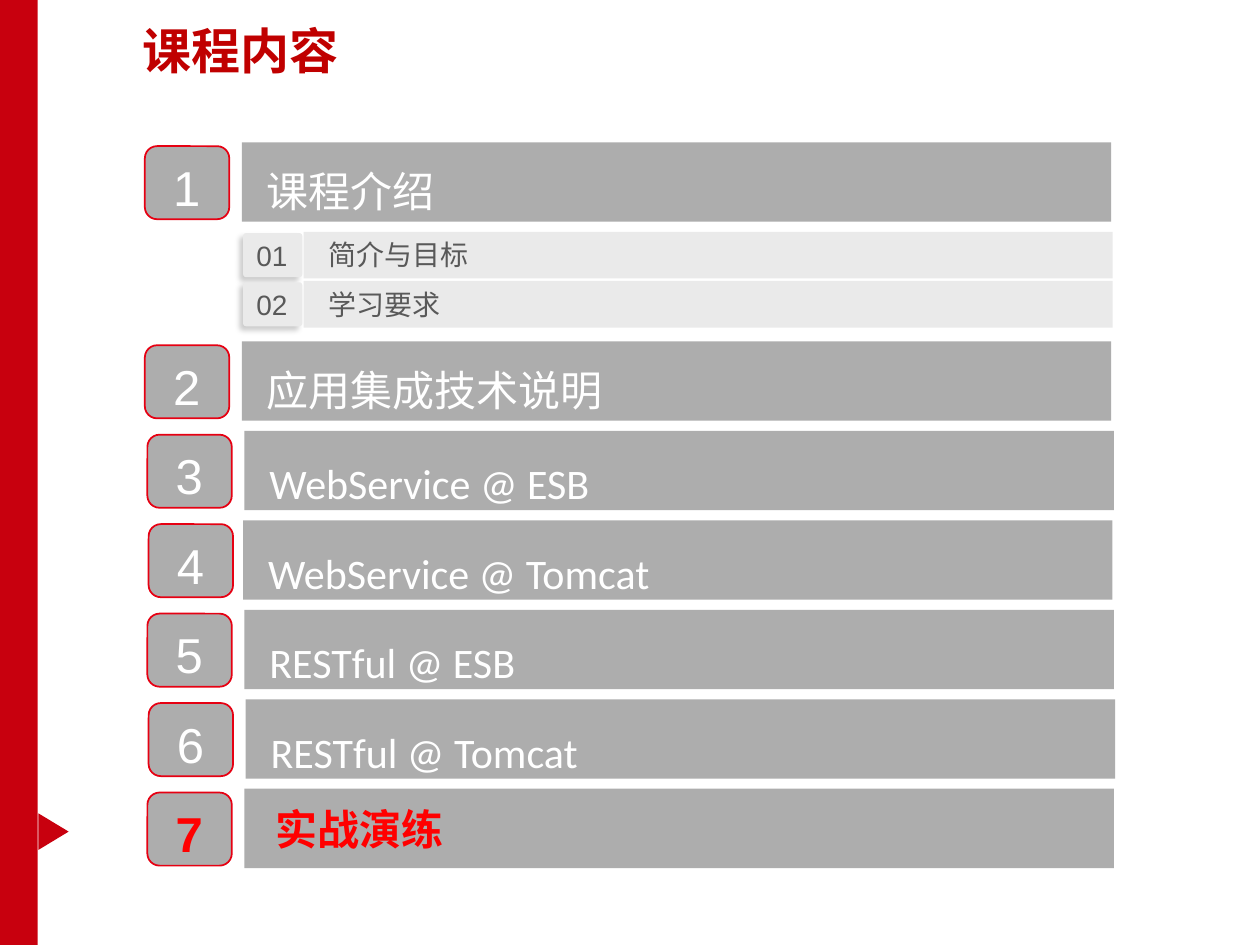
from dataclasses import dataclass

from lxml.etree import SubElement
from pptx import Presentation
from pptx.dml.color import RGBColor
from pptx.enum.shapes import MSO_SHAPE as Shape
from pptx.enum.text import MSO_ANCHOR as Anchor, MSO_AUTO_SIZE as AutoSize, PP_ALIGN as Align
from pptx.oxml.ns import qn
from pptx.util import Inches, Pt


@dataclass(frozen=True)
class Theme:
    band: str = "C8000E"
    title: str = "C00000"
    bar: str = "ADADAD"
    outline: str = "E60012"
    panel: str = "EAEAEA"
    light: str = "FFFFFF"
    muted: str = "595959"
    accent: str = "FF0000"
    heading_size: int = 28
    bar_size: int = 24
    detail_size: int = 16
    latin: str = "Calibri"
    digits: str = "Arial"
    chinese: str = "Noto Sans CJK SC"


COLUMNS, ROWS = 100, 75
BAR_WIDTH, BAR_HEIGHT = 69, 6.3
PITCH = 7.1
FIRST_TOP, SECOND_TOP = 11.3, 27.1

# Label, badge column, bar column
CHAPTERS = [
    ("课程介绍", 11.5, 19.2),
    ("应用集成技术说明", 11.5, 19.2),
    ("WebService @ ESB", 11.7, 19.4),
    ("WebService @ Tomcat", 11.8, 19.3),
    ("RESTful @ ESB", 11.7, 19.4),
    ("RESTful @ Tomcat", 11.8, 19.5),
    ("实战演练", 11.7, 19.4),
]
DETAILS = ["简介与目标", "学习要求"]


class Agenda:
    def __init__(self, deck, theme):
        self.deck, self.theme = deck, theme
        self.page = deck.slides.add_slide(deck.slide_layouts[5])

    def area(self, left, top, width, height):
        """Turn grid columns and rows into slide lengths."""
        across, down = self.deck.slide_width / COLUMNS, self.deck.slide_height / ROWS
        return [int(n) for n in (left * across, top * down, width * across, height * down)]

    def label(self, box, text, size, color, font, bold=False, indent=0, anchor=Anchor.TOP):
        frame = box.text_frame
        frame.vertical_anchor = anchor
        para = frame.paragraphs[0]
        para.alignment = Align.LEFT
        if indent:
            para._p.get_or_add_pPr().set("marL", str(Inches(indent)))
            para._p.get_or_add_pPr().set("indent", "0")
        span = para.add_run()
        span.text = text
        span.font.size, span.font.bold, span.font.name = Pt(size), bold, font
        span.font.color.rgb = RGBColor.from_string(color)
        SubElement(span._r.rPr, qn("a:ea"), typeface=self.theme.chinese)
        return para

    def title(self, text):
        box = self.page.shapes.title
        box.left, box.top, box.width, box.height = self.area(10.3, 1.1, 60.8, 6.9)
        box.text_frame.auto_size = AutoSize.NONE
        self.label(box, text, self.theme.heading_size, self.theme.title,
                   self.theme.chinese, bold=True)

    def block(self, kind, area, fill, outline=None):
        shape = self.page.shapes.add_shape(kind, *self.area(*area))
        shape.shadow.inherit = False
        shape.fill.solid()
        shape.fill.fore_color.rgb = RGBColor.from_string(fill)
        if outline:
            shape.line.color.rgb = RGBColor.from_string(outline)
            shape.line.width = Pt(1)
        else:
            shape.line.fill.background()
        return shape

    def soft_shadow(self, shape):
        effects = shape._element.spPr.find(qn("a:effectLst"))
        shadow = SubElement(effects, qn("a:outerShdw"), blurRad=str(Pt(3)), dist=str(Pt(3)),
                            dir=str(135 * 60000), algn="tr", rotWithShape="0")
        color = SubElement(shadow, qn("a:srgbClr"), val="000000")
        SubElement(color, qn("a:alpha"), val="20000")

    def side_band(self):
        self.block(Shape.RECTANGLE, (0, 0, 3, ROWS), self.theme.band)
        pointer = self.block(Shape.ISOSCELES_TRIANGLE, (2.8, 64.8, 2.9, 2.4), self.theme.band)
        pointer.rotation = 90

    def badge(self, number, left, top, color, bold):
        theme = self.theme
        self.block(Shape.ROUNDED_RECTANGLE, (left, top + 0.3, 6.7, 5.8), theme.bar, theme.outline)
        box = self.page.shapes.add_textbox(*self.area(left + 1.25, top + 0.7, 4.2, 5.7))
        box.text_frame.word_wrap = False
        box.text_frame.auto_size = AutoSize.SHAPE_TO_FIT_TEXT
        self.label(box, str(number), theme.heading_size, color, theme.digits, bold)

    def chapter(self, number, text, badge_left, bar_left, top, current):
        theme = self.theme
        color = theme.accent if current else theme.light
        bar = self.block(Shape.RECTANGLE, (bar_left, top, BAR_WIDTH, BAR_HEIGHT), theme.bar)
        para = self.label(bar, text, theme.bar_size, color, theme.latin, current,
                          indent=0.15 if current else 0.1,
                          anchor=Anchor.BOTTOM if number <= 2 else Anchor.MIDDLE)
        if not current:
            para.line_spacing = 1.5
            after = SubElement(para._p.pPr, qn("a:spcAft"))
            SubElement(after, qn("a:spcPct"), val="35000")
        self.badge(number, badge_left, top, color, current)

    def detail(self, number, text, top):
        theme = self.theme
        panel = self.block(Shape.RECTANGLE, (24.1, top, 64.2, 3.7), theme.panel)
        self.label(panel, text, theme.detail_size, theme.muted, theme.latin, indent=0.1)
        chip = self.block(Shape.ROUNDED_RECTANGLE, (19.3, top + 0.1, 4.7, 3.5), theme.panel)
        chip.adjustments[0] = 0.07
        self.soft_shadow(chip)
        self.label(chip, f"{number:02d}", theme.detail_size, theme.muted, theme.digits,
                   anchor=Anchor.MIDDLE)


def main():
    deck = Presentation()
    deck.slide_width, deck.slide_height = Inches(10), Inches(7.5)
    agenda = Agenda(deck, Theme())
    agenda.side_band()
    agenda.title("课程内容")
    for number, (text, badge_left, bar_left) in enumerate(CHAPTERS, 1):
        top = FIRST_TOP if number == 1 else SECOND_TOP + (number - 2) * PITCH
        agenda.chapter(number, text, badge_left, bar_left, top, number == len(CHAPTERS))
    for number, text in enumerate(DETAILS, 1):
        agenda.detail(number, text, 18.4 + (number - 1) * 3.9)
    deck.save("out.pptx")


if __name__ == "__main__":
    main()
